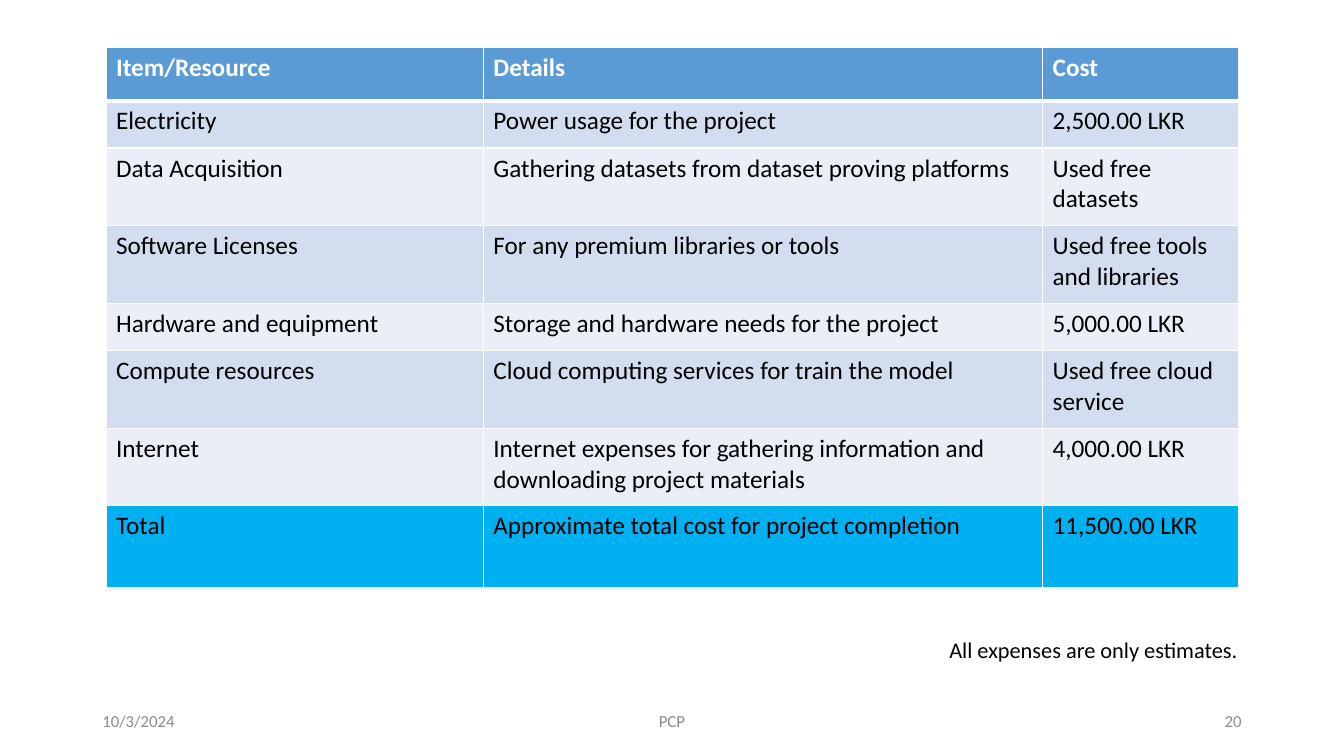
"""Build the project cost table slide."""
from lxml.etree import SubElement
from pptx import Presentation
from pptx.dml.color import RGBColor
from pptx.enum.text import MSO_ANCHOR, PP_ALIGN
from pptx.oxml.ns import qn
from pptx.util import Pt


def style_text(paragraph, size, color, bold=False):
    paragraph.font.name = "Calibri"
    paragraph.font.size = Pt(size)
    paragraph.font.bold = bold
    paragraph.font.color.rgb = RGBColor.from_string(color)


def add_border(cell, side, width):
    line = SubElement(cell._tc.get_or_add_tcPr(), qn(f"a:{side}"), w=str(Pt(width)))
    fill = SubElement(line, qn("a:solidFill"))
    SubElement(fill, qn("a:srgbClr"), val="FFFFFF")


deck = Presentation()
deck.slide_width, deck.slide_height = Pt(960), Pt(540)
page = deck.slides.add_slide(deck.slide_layouts[6])

footers = [
    ("10/3/2024", 66, 216, PP_ALIGN.LEFT),
    ("PCP", 318, 324, PP_ALIGN.CENTER),
    ("20", 678, 216, PP_ALIGN.RIGHT),
]
for text, left, width, alignment in footers:
    box = page.shapes.add_textbox(Pt(left), Pt(500.5), Pt(width), Pt(28.75))
    box.text_frame.word_wrap = True
    box.text_frame.vertical_anchor = MSO_ANCHOR.MIDDLE
    para = box.text_frame.paragraphs[0]
    para.text = text
    para.alignment = alignment
    style_text(para, 12, "8C8C8C")

costs = [
    ("Item/Resource", "Details", "Cost"),
    ("Electricity", "Power usage for the project", "2,500.00 LKR"),
    ("Data Acquisition", "Gathering datasets from dataset proving platforms", "Used free datasets"),
    ("Software Licenses", "For any premium libraries or tools", "Used free tools and libraries"),
    ("Hardware and equipment", "Storage and hardware needs for the project", "5,000.00 LKR"),
    ("Compute resources", "Cloud computing services for train the model", "Used free cloud service"),
    (
        "Internet",
        "Internet expenses for gathering information and downloading project materials",
        "4,000.00 LKR",
    ),
    ("Total", "Approximate total cost for project completion", "11,500.00 LKR"),
]
column_widths = [269.5, 399.5, 139.75]
row_heights = [38, 33.75, 55.5, 55.5, 33.75, 55.5, 55.5, 58.25]
row_fills = ["5B9BD5"] + ["D2DEEF", "EAEFF7"] * 3 + ["00B0F0"]

table = page.shapes.add_table(
    len(costs), len(column_widths), Pt(75.75), Pt(34), Pt(sum(column_widths)), Pt(sum(row_heights))
).table
for column, width in zip(table.columns, column_widths):
    column.width = Pt(width)
for index, (row, height, texts) in enumerate(zip(table.rows, row_heights, costs)):
    row.height = Pt(height)
    header = index == 0
    for cell, text in zip(row.cells, texts):
        for side in ("lnL", "lnR", "lnT", "lnB"):
            heavy = (header and side == "lnB") or (index == 1 and side == "lnT")
            add_border(cell, side, 3 if heavy else 1)
        cell.fill.solid()
        cell.fill.fore_color.rgb = RGBColor.from_string(row_fills[index])
        para = cell.text_frame.paragraphs[0]
        para.text = text
        style_text(para, 18, "FFFFFF" if header else "000000", header)

note = page.shapes.add_textbox(Pt(671), Pt(450.75), Pt(223), Pt(26.5))
note.text_frame.word_wrap = False
para = note.text_frame.paragraphs[0]
para.text = "All expenses are only estimates."
style_text(para, 16, "000000")

deck.save("out.pptx")
